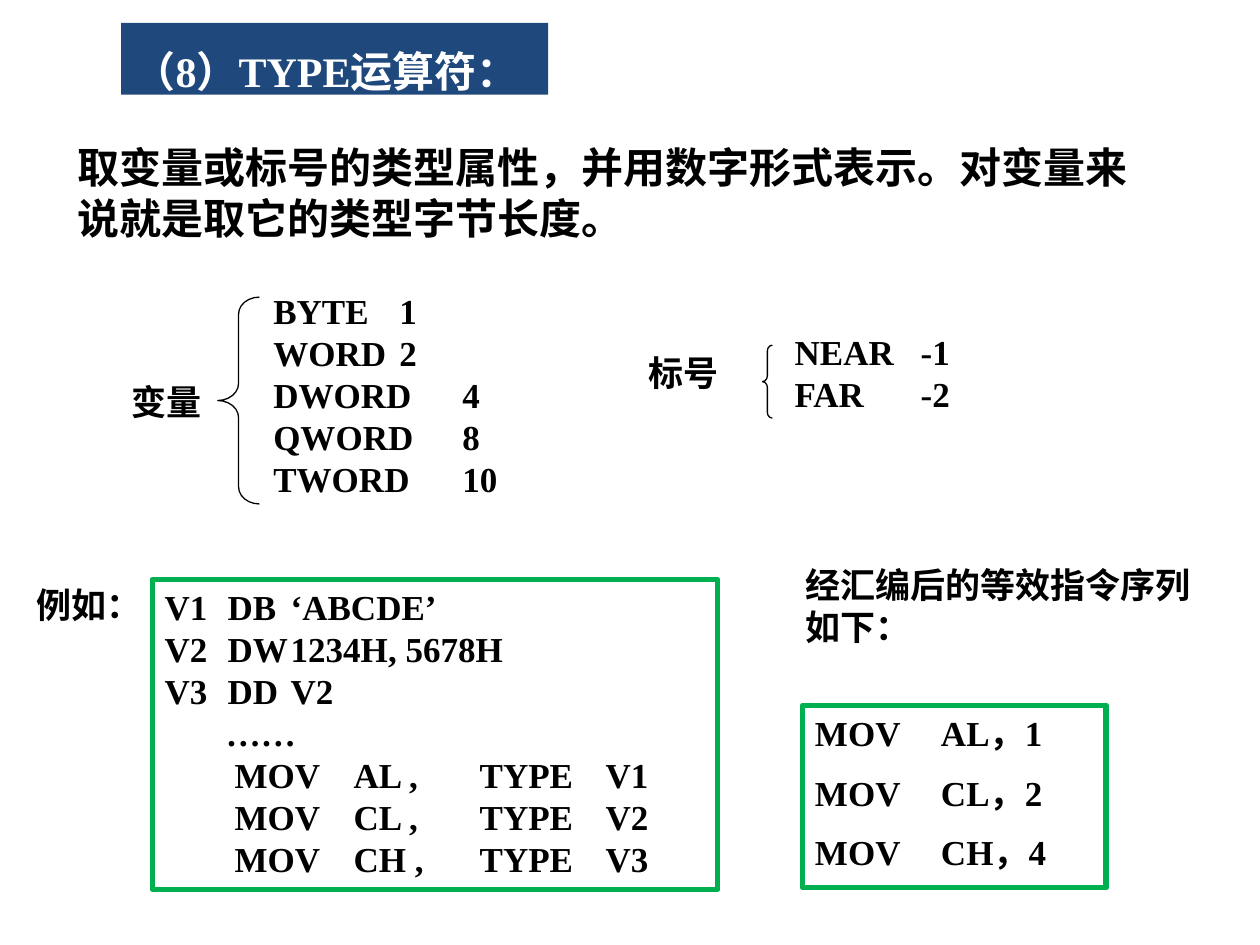
from dataclasses import dataclass

import pptx
import pptx.dml.color
import pptx.enum.shapes
import pptx.enum.text
import pptx.oxml.ns
import pptx.util
from lxml import etree
from pptx.util import Cm, Pt

BLACK = pptx.dml.color.RGBColor(0x00, 0x00, 0x00)
WHITE = pptx.dml.color.RGBColor(0xFF, 0xFF, 0xFF)
NAVY = pptx.dml.color.RGBColor(0x1F, 0x49, 0x7D)
GREEN = pptx.dml.color.RGBColor(0x00, 0xB0, 0x50)
SERIF = "Times New Roman"
SANS = "Noto Sans CJK SC"
SHAPES = pptx.enum.shapes.MSO_SHAPE


@dataclass
class Area:
    left: float
    top: float
    width: float
    height: float

    def lengths(self):
        return [Cm(side) for side in (self.left, self.top, self.width, self.height)]


@dataclass
class Line:
    text: str
    tabs: tuple[float, ...] = ()


@dataclass
class Block:
    area: Area
    lines: list[Line]
    gap: int = 0
    framed: bool = False


@dataclass
class Brace:
    area: Area
    curve: float


def add_child(parent, tag: str, **attributes: str):
    return etree.SubElement(parent, pptx.oxml.ns.qn(tag), **attributes)


def write_lines(shape, lines: list[Line], size: int = 20, pitch: int = 24,
                gap: int = 0, face: str = SERIF, color=BLACK, wrap: bool = True) -> None:
    frame = shape.text_frame
    frame.auto_size = pptx.enum.text.MSO_AUTO_SIZE.NONE
    frame.word_wrap = wrap
    frame.vertical_anchor = pptx.enum.text.MSO_ANCHOR.TOP
    for index, line in enumerate(lines):
        para = frame.add_paragraph() if index else frame.paragraphs[0]
        para.text = line.text
        para.alignment = pptx.enum.text.PP_ALIGN.LEFT
        para.line_spacing = Pt(pitch)
        para.space_before = Pt(gap if index else 0)
        properties = para._p.get_or_add_pPr()
        properties.set("marL", "0")
        properties.set("indent", "0")
        add_child(properties, "a:buNone")
        if line.tabs:
            stops = add_child(properties, "a:tabLst")
            for position in line.tabs:
                add_child(stops, "a:tab", pos=str(int(Cm(position))), algn="l")
        para.font.size = Pt(size)
        para.font.name = face
        para.font.bold = True
        para.font.color.rgb = color


def place(shape, area: Area) -> None:
    shape.left, shape.top, shape.width, shape.height = area.lengths()


def draw_block(page, block: Block) -> None:
    if block.framed:
        box = page.shapes.add_shape(SHAPES.RECTANGLE, *block.area.lengths())
        box.shadow.inherit = False
        box.fill.background()
        box.line.color.rgb = GREEN
        box.line.width = Pt(3)
    else:
        box = page.shapes.add_textbox(*block.area.lengths())
    write_lines(box, block.lines, gap=block.gap)


def draw_brace(page, brace: Brace) -> None:
    shape = page.shapes.add_shape(SHAPES.LEFT_BRACE, *brace.area.lengths())
    shape.shadow.inherit = False
    shape.fill.background()
    shape.line.color.rgb = BLACK
    shape.line.width = Pt(0.75)
    shape.adjustments[0] = brace.curve


def tabbed(rows: list[str], *tabs: float) -> list[Line]:
    return [Line(row, tabs) for row in rows]


BLOCKS = [
    Block(Area(2.41, 7.54, 2.54, 1.12), [Line("变量")]),
    Block(Area(5.26, 5.72, 5.28, 4.52),
          tabbed(["BYTE\t1", "WORD\t2", "DWORD\t4", "QWORD\t8", "TWORD\t10"], 3.33)),
    Block(Area(12.83, 6.96, 2.34, 1.12), [Line("标号")]),
    Block(Area(15.77, 6.53, 5.51, 1.96), tabbed(["NEAR\t-1", "FAR\t-2"], 2.87)),
    Block(Area(0.48, 11.63, 3.18, 1.12), [Line("例如：")]),
    Block(Area(3.07, 11.68, 11.4, 6.25),
          tabbed(["V1\tDB\t‘ABCDE’", "V2\tDW\t1234H, 5678H", "V3\tDD\tV2"], 1.55, 3.28)
          + [Line("       ……")]
          + tabbed([f"        MOV\t{register} ,\tTYPE\t{variable}" for register, variable
                    in (("AL", "V1"), ("CL", "V2"), ("CH", "V3"))], 3.63, 5.3, 7.5),
          framed=True),
    Block(Area(15.98, 11.23, 8.53, 1.96), [Line("经汇编后的等效指令序列如下：")]),
    Block(Area(16.18, 14.22, 6.12, 3.68),
          tabbed(["MOV\tAL，1", "MOV\tCL，2", "MOV\tCH，4"], 2.05), gap=10, framed=True),
]
BRACES = [
    Brace(Area(4.39, 5.99, 0.84, 4.17), 0.41),
    Brace(Area(15.37, 6.96, 0.2, 1.47), 0.58),
]


def main() -> None:
    deck = pptx.Presentation()
    deck.slide_width, deck.slide_height = Cm(25.4), Cm(19.05)
    page = deck.slides.add_slide(deck.slide_layouts[1])

    title = page.shapes.title
    place(title, Area(2.44, 0.46, 8.61, 1.45))
    title.fill.solid()
    title.fill.fore_color.rgb = NAVY
    write_lines(title, [Line("（8）TYPE运算符：")], size=24, pitch=38, color=WHITE, wrap=False)

    body = page.placeholders[1]
    place(body, Area(1.3, 2.72, 22.35, 2.31))
    write_lines(body, [Line("取变量或标号的类型属性，并用数字形式表示。对变量来说就是取它的类型字节长度。")],
                size=24, pitch=29, face=SANS)

    for block in BLOCKS:
        draw_block(page, block)
    for brace in BRACES:
        draw_brace(page, brace)

    deck.save("out.pptx")


if __name__ == "__main__":
    main()
